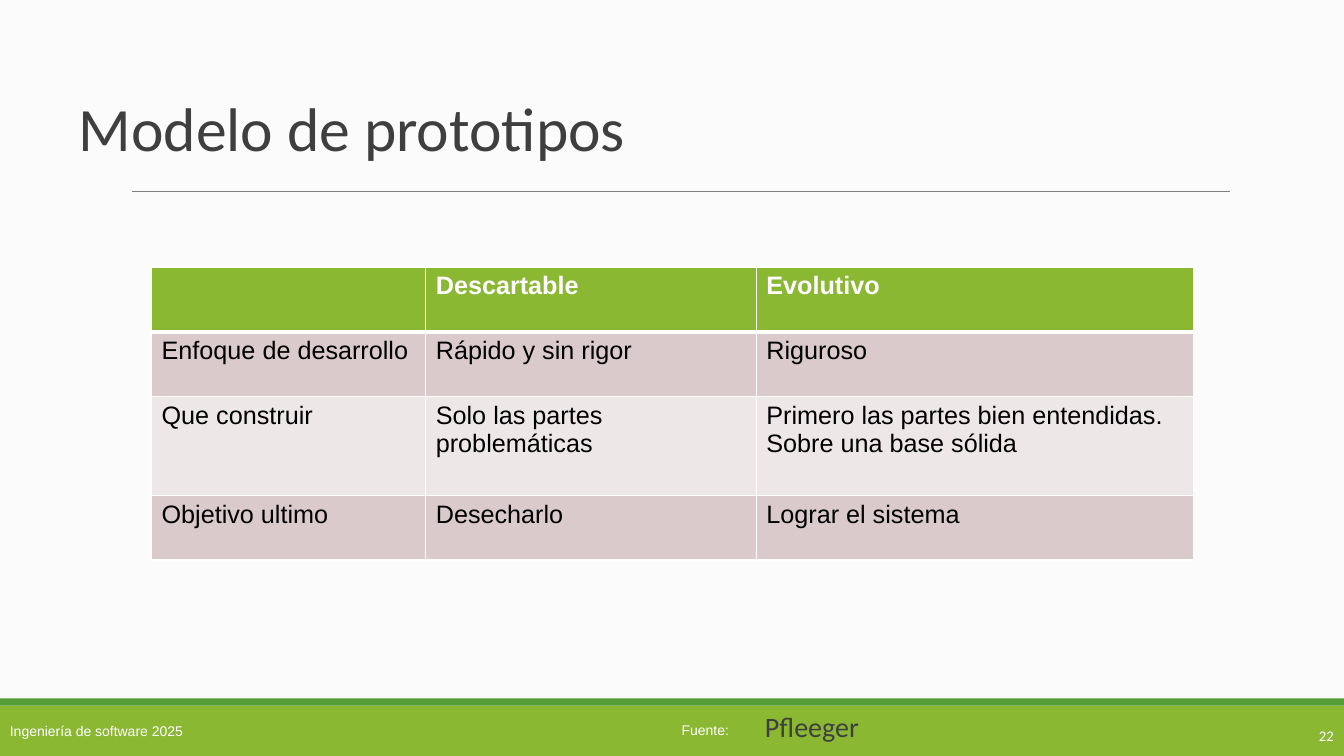
"""Builds the slide comparing throwaway and evolutionary prototypes."""
from lxml.etree import SubElement
from pptx import Presentation
from pptx.dml.color import RGBColor
from pptx.enum.shapes import MSO_CONNECTOR, MSO_SHAPE
from pptx.enum.text import MSO_ANCHOR, MSO_AUTO_SIZE, PP_ALIGN
from pptx.oxml import parse_xml
from pptx.oxml.ns import nsdecls, qn
from pptx.util import Cm, Pt


def color(value):
    """Turn a hex string into a colour."""
    return RGBColor.from_string(value)


def write(text_frame, text, size, font_name, font_color, align=PP_ALIGN.LEFT):
    """Write one formatted paragraph and return it."""
    text_frame.text = text
    paragraph = text_frame.paragraphs[0]
    paragraph.alignment = align
    paragraph.font.size = Pt(size)
    paragraph.font.name = font_name
    paragraph.font.color.rgb = color(font_color)
    return paragraph


presentation = Presentation()
presentation.slide_width = Cm(33.87)
presentation.slide_height = Cm(19.05)
slide = presentation.slides.add_slide(presentation.slide_layouts[1])
slide.background.fill.solid()
slide.background.fill.fore_color.rgb = color("FBFBFB")

bars = []
for top, height, fill in [(17.78, 1.27, "8AB833"), (17.6, 0.18, "549E39")]:
    bar = slide.shapes.add_shape(
        MSO_SHAPE.RECTANGLE, 0, Cm(top), presentation.slide_width, Cm(height))
    bar.shadow.inherit = False
    bar.fill.solid()
    bar.fill.fore_color.rgb = color(fill)
    bar.line.fill.background()
    bars.append(bar)
footer = bars[0].text_frame
footer.vertical_anchor = MSO_ANCHOR.MIDDLE
write(footer, "Ingeniería de software 2025", 10, "Arial", "FFFFFF")

rule = slide.shapes.add_connector(
    MSO_CONNECTOR.STRAIGHT, Cm(3.33), Cm(4.82), Cm(31), Cm(4.82))
rule.line.color.rgb = color("7F7F7F")
rule.line.width = Pt(0.75)
SubElement(rule.element.spPr, qn("a:effectLst"))

source_label = slide.shapes.add_textbox(Cm(16.93), Cm(18.06), Cm(1.7), Cm(0.68))
source_label.text_frame.word_wrap = False
write(source_label.text_frame, "Fuente:", 10, "Arial", "FFFFFF")

page_number = slide.shapes.add_textbox(Cm(30.23), Cm(18.03), Cm(3.63), Cm(1.02))
page_number.text_frame.word_wrap = True
page_number.text_frame.vertical_anchor = MSO_ANCHOR.MIDDLE
write(page_number.text_frame, "22", 10.5, "Calibri", "FFFFFF", PP_ALIGN.RIGHT)

title, source = slide.placeholders
for placeholder, text, size, box in [
    (title, "Modelo de prototipos", 44, (1.73, 1.78, 29.92, 3.15)),
    (source, "Pfleeger", 20, (19.02, 17.96, 5.99, 0.84)),
]:
    placeholder.left, placeholder.top, placeholder.width, placeholder.height = map(Cm, box)
    placeholder.text_frame.auto_size = MSO_AUTO_SIZE.NONE
    placeholder.text_frame.vertical_anchor = MSO_ANCHOR.MIDDLE
    paragraph = write(placeholder.text_frame, text, size, "Calibri", "3F3F3F")
    paragraph.line_spacing = 0.85
    paragraph.space_before = Pt(0)
    properties = paragraph._p.get_or_add_pPr()
    properties.set("marL", "0")
    properties.set("indent", "0")
    SubElement(properties, qn("a:buNone")) if placeholder is source else None
    slide.shapes.element.append(placeholder.element)

rows = [
    ("", "Descartable", "Evolutivo"),
    ("Enfoque de desarrollo", "Rápido y sin rigor", "Riguroso"),
    ("Que construir", "Solo las partes problemáticas",
     "Primero las partes bien entendidas. Sobre una base sólida"),
    ("Objetivo ultimo", "Desecharlo", "Lograr el sistema"),
]
row_heights = [1.63, 1.63, 2.49, 1.63]
row_fills = ["8AB833", "DACACC", "EDE7E7", "DACACC"]
column_widths = [6.91, 8.33, 11.02]
table = slide.shapes.add_table(
    len(rows), len(column_widths), Cm(3.82), Cm(6.73),
    Cm(sum(column_widths)), Cm(sum(row_heights))).table
for column, width in zip(table.columns, column_widths):
    column.width = Cm(width)
for row_index, texts in enumerate(rows):
    table.rows[row_index].height = Cm(row_heights[row_index])
    is_header = row_index == 0
    widths = {"L": 1, "R": 1, "T": 3 if row_index == 1 else 1, "B": 3 if is_header else 1}
    for column_index, text in enumerate(texts):
        cell = table.cell(row_index, column_index)
        cell.fill.solid()
        cell.fill.fore_color.rgb = color(row_fills[row_index])
        paragraph = write(
            cell.text_frame, text, 18, "Arial", "FFFFFF" if is_header else "000000")
        paragraph.font.bold = is_header
        for position, (side, width) in enumerate(widths.items()):
            border = parse_xml(
                f'<a:ln{side} {nsdecls("a")} w="{Pt(width)}"><a:solidFill>'
                f'<a:srgbClr val="FFFFFF"/></a:solidFill></a:ln{side}>')
            cell._tc.get_or_add_tcPr().insert(position, border)

presentation.save("out.pptx")
